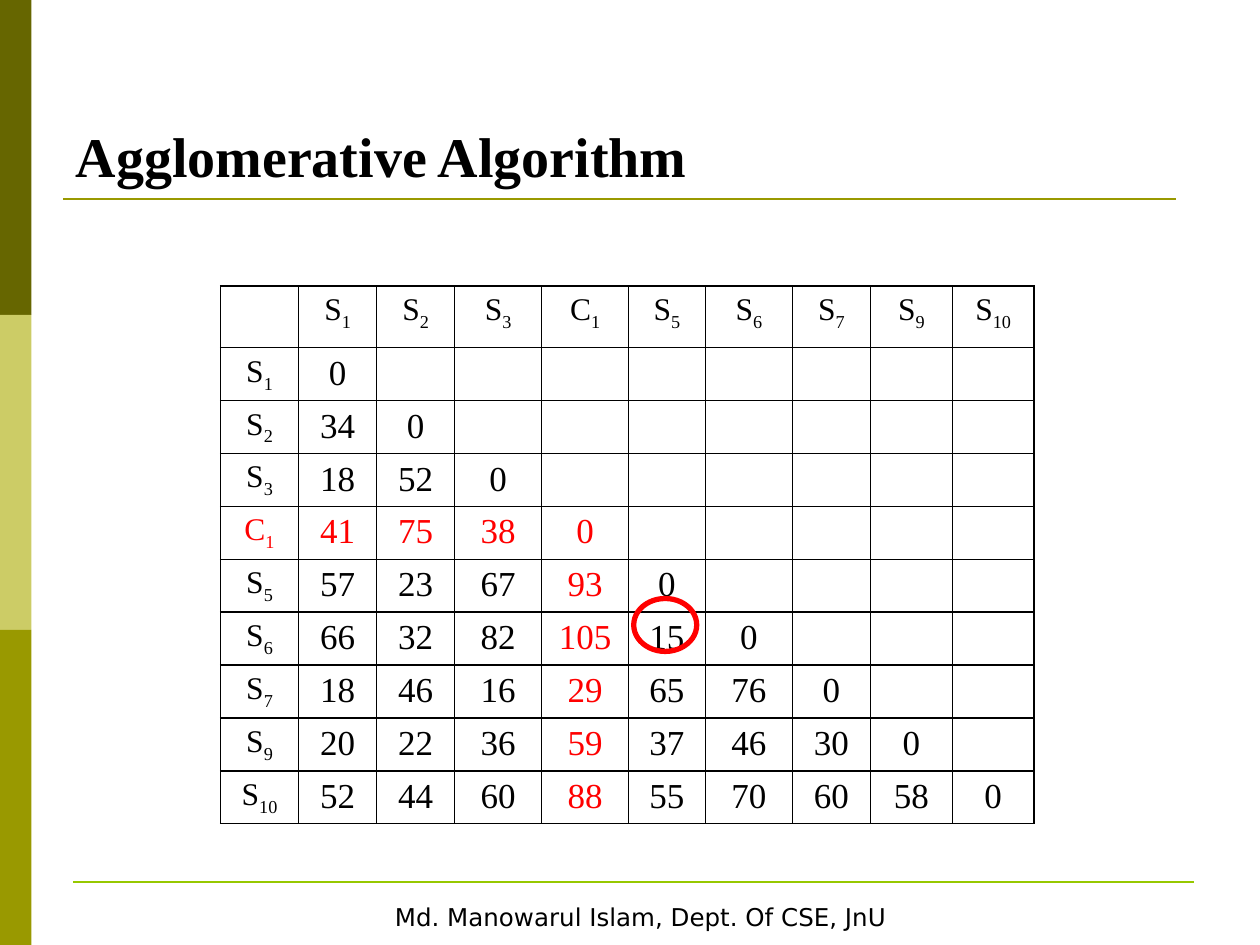
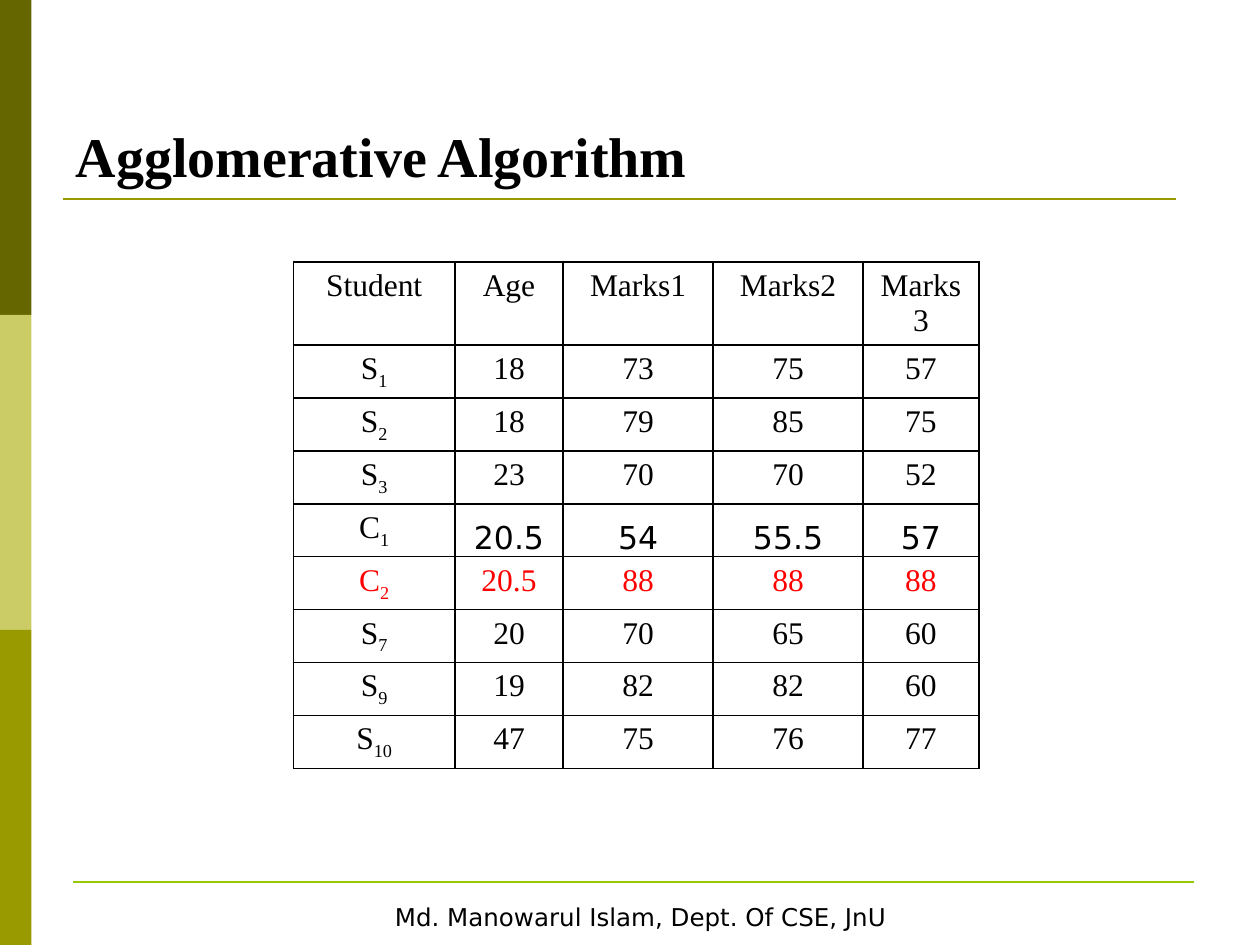
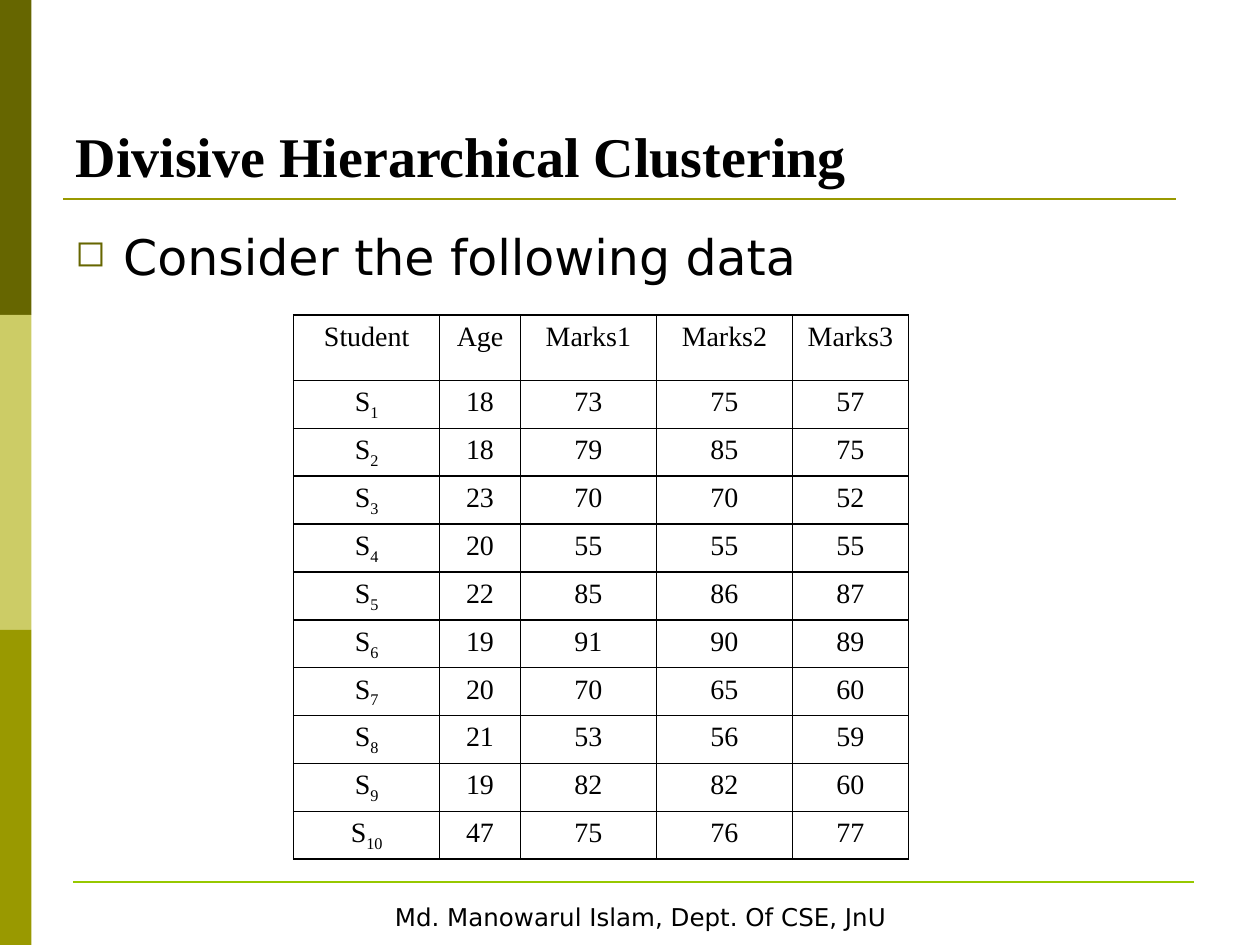
import lxml.etree
import pptx
import pptx.dml.color
import pptx.enum.shapes
import pptx.enum.text
import pptx.oxml.ns
import pptx.util

RGBColor = pptx.dml.color.RGBColor
Align = pptx.enum.text.PP_ALIGN
Anchor = pptx.enum.text.MSO_ANCHOR
Preset = pptx.enum.shapes.MSO_SHAPE

BLACK = RGBColor(0x00, 0x00, 0x00)
WHITE = RGBColor(0xFF, 0xFF, 0xFF)
RED = RGBColor(0xFF, 0x00, 0x00)
DARK_OLIVE = RGBColor(0x66, 0x66, 0x00)
PALE_OLIVE = RGBColor(0xCC, 0xCC, 0x66)
OLIVE = RGBColor(0x99, 0x99, 0x00)
LIME = RGBColor(0x96, 0xC8, 0x00)

SERIF = "Times New Roman"
SANS = "DejaVu Sans"

WIDTH = pptx.util.Inches(10)
HEIGHT = pptx.util.Inches(7.5)
GRID_COLUMNS = 10
GRID_ROWS = 7.5

FOOTER = "Md. Manowarul Islam, Dept. Of CSE, JnU"
MARKS_HEADER = ["Student", "Age", "Marks1", "Marks2", "Marks3"]

DISTANCES = [
    ["", "S1", "S2", "S3", "C1", "S5", "S6", "S7", "S9", "S10"],
    ["S1", 0],
    ["S2", 34, 0],
    ["S3", 18, 52, 0],
    ["C1", 41, 75, 38, 0],
    ["S5", 57, 23, 67, 93, 0],
    ["S6", 66, 32, 82, 105, 15, 0],
    ["S7", 18, 46, 16, 29, 65, 76, 0],
    ["S9", 20, 22, 36, 59, 37, 46, 30, 0],
    ["S10", 52, 44, 60, 88, 55, 70, 60, 58, 0],
]

STUDENTS = [
    ["S1", 18, 73, 75, 57],
    ["S2", 18, 79, 85, 75],
    ["S3", 23, 70, 70, 52],
    ["S4", 20, 55, 55, 55],
    ["S5", 22, 85, 86, 87],
    ["S6", 19, 91, 90, 89],
    ["S7", 20, 70, 65, 60],
    ["S8", 21, 53, 56, 59],
    ["S9", 19, 82, 82, 60],
    ["S10", 47, 75, 76, 77],
]

CLUSTERS = [["C1", 20.5, 54, 55.5, 57], ["C2", 20.5, 88, 88, 88]]


def across(columns):
    """Return the length of a number of grid columns."""
    return round(WIDTH * columns / GRID_COLUMNS)


def down(rows):
    """Return the length of a number of grid rows."""
    return round(HEIGHT * rows / GRID_ROWS)


def area(left, top, width, height):
    """Return the place of an element on the grid."""
    return across(left), down(top), across(width), down(height)


def add_xml(parent, tag, **attributes):
    """Append a DrawingML element and return it."""
    return lxml.etree.SubElement(parent, pptx.oxml.ns.qn(tag), attributes)


def set_font(paragraph, name, size, color, bold=False):
    """Format all the text of a paragraph."""
    font = paragraph.font
    font.name, font.size, font.bold = name, pptx.util.Pt(size), bold
    font.color.rgb = color


def add_shape(page, preset, place, fill=None, line=None, line_width=1):
    """Draw a flat preset shape."""
    shape = page.shapes.add_shape(preset, *place)
    shape.shadow.inherit = False
    if fill is None:
        shape.fill.background()
    else:
        shape.fill.solid()
        shape.fill.fore_color.rgb = fill
    if line is None:
        shape.line.fill.background()
    else:
        shape.line.color.rgb = line
        shape.line.width = pptx.util.Pt(line_width)
    return shape


def add_rule(page, left, right, top, color):
    """Draw a horizontal rule."""
    rule = page.shapes.add_connector(
        pptx.enum.shapes.MSO_CONNECTOR.STRAIGHT,
        across(left), down(top), across(right), down(top))
    rule.line.color.rgb = color
    rule.line.width = pptx.util.Pt(1.5)
    add_xml(rule.element.spPr, "a:effectLst")
    return rule


def add_footer(page):
    """Draw the footer box with its text."""
    box = add_shape(page, Preset.RECTANGLE, area(0.5, 7.1, 9.17, 0.35), WHITE, WHITE, 2)
    box.text_frame.word_wrap = False
    paragraph = box.text_frame.paragraphs[0]
    paragraph.text = FOOTER
    paragraph.alignment = Align.CENTER
    set_font(paragraph, SANS, 14, BLACK)
    return box


def furnish_layout(layout, page):
    """Draw the shared bands, rules and footer and move them to the layout."""
    for placeholder in list(layout.placeholders)[1:]:
        layout.shapes.element.remove(placeholder.element)
    band = GRID_ROWS / 3
    parts = [
        add_shape(page, Preset.RECTANGLE, area(0, index * band, 0.25, band), color)
        for index, color in enumerate([DARK_OLIVE, PALE_OLIVE, OLIVE])]
    parts.append(add_rule(page, 0.5, 9.33, 1.58, OLIVE))
    parts.append(add_rule(page, 0.58, 9.48, 7, LIME))
    parts.append(add_footer(page))
    for part in parts:
        layout.shapes.element.append(part.element)


def set_title(page, text):
    """Place and format the title of a slide."""
    title = page.shapes.title
    title.left, title.top, title.width, title.height = area(0.5, 0.3, 9, 1.25)
    title.text_frame.vertical_anchor = Anchor.BOTTOM
    paragraph = title.text_frame.paragraphs[0]
    paragraph.text = text
    paragraph.alignment = Align.LEFT
    set_font(paragraph, SERIF, 32, BLACK, bold=True)


def add_bullet(page, text):
    """Add a line of text with a square bullet."""
    box = page.shapes.add_textbox(*area(0.5, 1.75, 9, 0.75))
    box.text_frame.word_wrap = True
    paragraph = box.text_frame.paragraphs[0]
    paragraph.text = text
    properties = paragraph._p.get_or_add_pPr()
    indent = across(0.38)
    properties.set("marL", str(indent))
    properties.set("indent", str(-indent))
    add_xml(add_xml(properties, "a:buClr"), "a:srgbClr", val=str(DARK_OLIVE))
    add_xml(properties, "a:buSzPct", val="75000")
    add_xml(properties, "a:buChar", char="◻")
    set_font(paragraph, SANS, 28, BLACK)


def frame_cell(cell):
    """Give a cell black borders, no fill and a narrow margin at its foot."""
    properties = cell._tc.get_or_add_tcPr()
    for side in ("a:lnL", "a:lnR", "a:lnT", "a:lnB"):
        border = add_xml(properties, side, w=str(pptx.util.Pt(1)))
        add_xml(add_xml(border, "a:solidFill"), "a:srgbClr", val=str(BLACK))
    cell.fill.background()
    cell.margin_bottom = down(0.02)


def fill_cell(cell, value, size, color):
    """Write a value, or a label whose number is a subscript."""
    paragraph = cell.text_frame.paragraphs[0]
    paragraph.alignment = Align.CENTER
    text = str(value)
    if text[:1] in ("S", "C") and text[1:].isdigit():
        paragraph.add_run().text = text[0]
        span = paragraph.add_run()
        span.text = text[1:]
        span._r.get_or_add_rPr().set("baseline", "-25000")
    elif text:
        paragraph.add_run().text = text
    set_font(paragraph, SERIF, size, color)


def add_data_table(page, rows, left, top, widths, heights, sizes, red_row=None, red_column=None):
    """Add a table; heights and sizes are for labels first, then for the rest."""
    place = area(left, top, sum(widths), heights[0] + heights[1] * (len(rows) - 1))
    table = page.shapes.add_table(len(rows), len(widths), *place).table
    table.first_row = table.horz_banding = False
    for column, width in zip(table.columns, widths):
        column.width = across(width)
    for row_index, values in enumerate(rows):
        table.rows[row_index].height = down(heights[min(row_index, 1)])
        for column_index in range(len(widths)):
            cell = table.cell(row_index, column_index)
            frame_cell(cell)
            if column_index < len(values):
                is_value = row_index > 0 and column_index > 0
                is_red = row_index == red_row or (is_value and column_index == red_column)
                fill_cell(cell, values[column_index], sizes[is_value], RED if is_red else BLACK)
    return table


def set_sans_row(table, row_index):
    """Set the values of a row in the sans font at the foot of their cells."""
    for column_index in range(1, len(table.columns)):
        cell = table.cell(row_index, column_index)
        cell.vertical_anchor = Anchor.BOTTOM
        cell.margin_left = cell.margin_right = cell.margin_top = across(0.01)
        cell.margin_bottom = 0
        cell.text_frame.paragraphs[0].font.name = SANS


def main():
    """Build the deck."""
    deck = pptx.Presentation()
    deck.slide_width, deck.slide_height = WIDTH, HEIGHT
    layout = deck.slide_layouts[5]
    distances, clusters, students = [deck.slides.add_slide(layout) for _ in range(3)]
    furnish_layout(layout, distances)

    set_title(distances, "Agglomerative Algorithm")
    add_data_table(
        distances, DISTANCES, 1.75, 2.27,
        [0.62, 0.62, 0.62, 0.69, 0.69, 0.61, 0.69, 0.62, 0.65, 0.65],
        (0.49, 0.42), (18, 20), red_row=4, red_column=4)
    add_shape(distances, Preset.OVAL, area(5.03, 4.75, 0.5, 0.42), line=RED, line_width=3)

    set_title(clusters, "Agglomerative Algorithm")
    cluster_rows = [MARKS_HEADER] + STUDENTS[:3] + CLUSTERS + [STUDENTS[6]] + STUDENTS[8:]
    table = add_data_table(
        clusters, cluster_rows, 2.33, 2.08, [1.28, 0.86, 1.19, 1.19, 0.92],
        (0.66, 0.42), (18, 18), red_row=5)
    set_sans_row(table, 4)

    set_title(students, "Divisive Hierarchical Clustering")
    add_bullet(students, "Consider the following data")
    add_data_table(
        students, [MARKS_HEADER] + STUDENTS, 2.33, 2.5, [1.16, 0.64, 1.08, 1.08, 0.92],
        (0.52, 0.38), (16, 16))

    deck.save("out.pptx")


if __name__ == "__main__":
    main()
